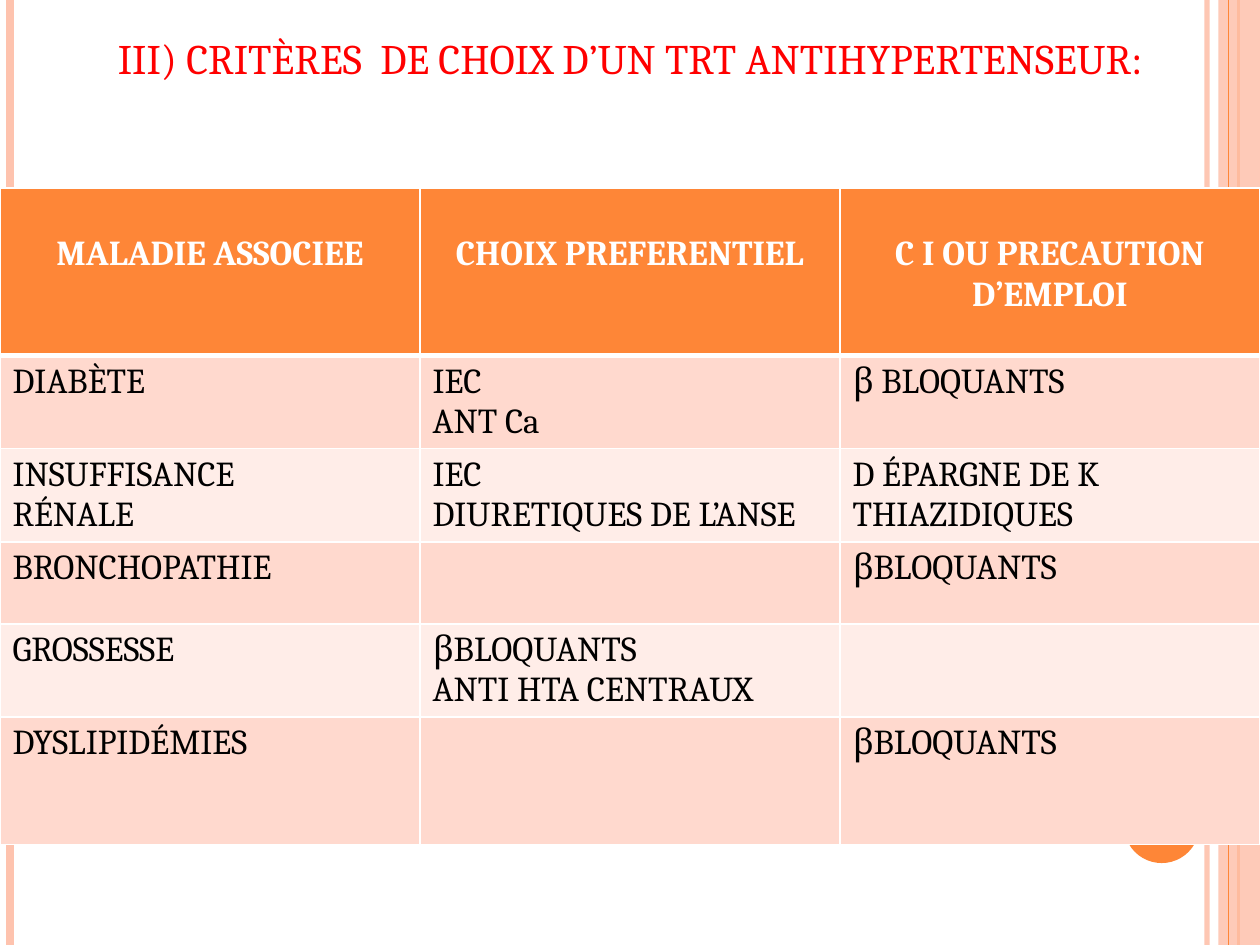
from lxml.etree import SubElement
from pptx import Presentation
from pptx.dml.color import RGBColor
from pptx.enum.shapes import MSO_CONNECTOR, MSO_SHAPE
from pptx.enum.text import MSO_ANCHOR, MSO_AUTO_SIZE, PP_ALIGN
from pptx.oxml.ns import qn
from pptx.util import Inches, Pt

FONT = "Cambria"
ORANGE, PEACH, WHITE = "FE8637", "FEC3AE", "FFFFFF"
BANDS = ["FFD9CE", "FFEDE8"]
TITLE = "III) CRITÈRES  DE CHOIX D’UN TRT ANTIHYPERTENSEUR:"
ROWS = [
    ["MALADIE ASSOCIEE", "CHOIX PREFERENTIEL", "C I OU PRECAUTION\nD’EMPLOI"],
    ["DIABÈTE", "IEC\nANT Ca", "β BLOQUANTS"],
    ["INSUFFISANCE\nRÉNALE", "IEC\nDIURETIQUES DE L’ANSE",
     "D ÉPARGNE DE K\nTHIAZIDIQUES"],
    ["BRONCHOPATHIE", "", "βBLOQUANTS"],
    ["GROSSESSE", "βBLOQUANTS\nANTI HTA CENTRAUX", ""],
    ["DYSLIPIDÉMIES", "", "βBLOQUANTS"],
]
HEIGHTS = [1.33, 0.74, 0.74, 0.65, 0.74, 1.01]
# x, colour, width in points, opacity in percent
BACK_RULES = [(9.58, PEACH, 3, 93), (0.08, PEACH, 4.5, 100), (9.83, ORANGE, 1.5, 100)]
FRONT_RULE = (9.75, ORANGE, 0.75, 100)


def rgb(code):
    return RGBColor.from_string(code)


def fade(shape, alpha):
    """Set the opacity of the first colour in a shape, in percent."""
    color = next(shape._element.spPr.iter(qn("a:srgbClr")))
    SubElement(color, qn("a:alpha"), val=str(alpha * 1000))


def add_rule(slide, x, color, width, alpha):
    rule = slide.shapes.add_connector(
        MSO_CONNECTOR.STRAIGHT, Inches(x), 0, Inches(x), Inches(7.5))
    rule.line.color.rgb = rgb(color)
    rule.line.width = Pt(width)
    if alpha < 100:
        fade(rule, alpha)
    SubElement(rule._element.spPr, qn("a:effectLst"))


def add_block(slide, kind, box, color):
    block = slide.shapes.add_shape(kind, *map(Inches, box))
    block.shadow.inherit = False
    block.fill.solid()
    block.fill.fore_color.rgb = rgb(color)
    block.line.fill.background()
    return block


def write(frame, text, size, color, bold=False, align=PP_ALIGN.LEFT):
    frame.text = text
    for para in frame.paragraphs:
        para.alignment = align
        for run in para.runs:
            font = run.font
            font.name, font.size, font.bold = FONT, Pt(size), bold
            font.color.rgb = rgb(color)


def set_edges(cell, top, bottom):
    """Draw white cell borders; top and bottom widths are in points."""
    props = cell._tc.get_or_add_tcPr()
    for side, width in zip("LRTB", (1, 1, top, bottom)):
        edge = SubElement(props, qn(f"a:ln{side}"), w=str(Pt(width)))
        fill = SubElement(edge, qn("a:solidFill"))
        SubElement(fill, qn("a:srgbClr"), val=WHITE)


def add_grid(slide):
    table = slide.shapes.add_table(
        len(ROWS), 3, 0, Inches(1.49), Inches(10), Inches(sum(HEIGHTS))).table
    for r, texts in enumerate(ROWS):
        head = r == 0
        table.rows[r].height = Inches(HEIGHTS[r])
        for c, text in enumerate(texts):
            cell = table.cell(r, c)
            set_edges(cell, 3 if r == 1 else 1, 3 if head else 1)
            cell.fill.solid()
            cell.fill.fore_color.rgb = rgb(ORANGE if head else BANDS[(r - 1) % 2])
            if head:
                cell.margin_top = Inches(0.37)
                write(cell.text_frame, text, 20, WHITE, True, PP_ALIGN.CENTER)
            else:
                write(cell.text_frame, text, 20, "000000")


def add_title(slide):
    title = slide.shapes.title
    title.left, title.top = 0, Inches(0.21)
    title.width, title.height = Inches(10), Inches(0.49)
    frame = title.text_frame
    frame.word_wrap = True
    frame.auto_size = MSO_AUTO_SIZE.NONE
    frame.vertical_anchor = MSO_ANCHOR.TOP
    write(frame, TITLE, 24, "FF0000", align=PP_ALIGN.CENTER)


def main():
    deck = Presentation()
    deck.slide_width, deck.slide_height = Inches(10), Inches(7.5)
    slide = deck.slides.add_slide(deck.slide_layouts[5])
    for rule in BACK_RULES:
        add_rule(slide, *rule)
    band = add_block(slide, MSO_SHAPE.RECTANGLE, (9.67, 0, 0.33, 7.5), PEACH)
    fade(band, 87)
    add_rule(slide, *FRONT_RULE)
    add_block(slide, MSO_SHAPE.OVAL, (8.92, 6.25, 0.6, 0.6), ORANGE)
    add_grid(slide)
    add_title(slide)
    deck.save("out.pptx")


if __name__ == "__main__":
    main()
